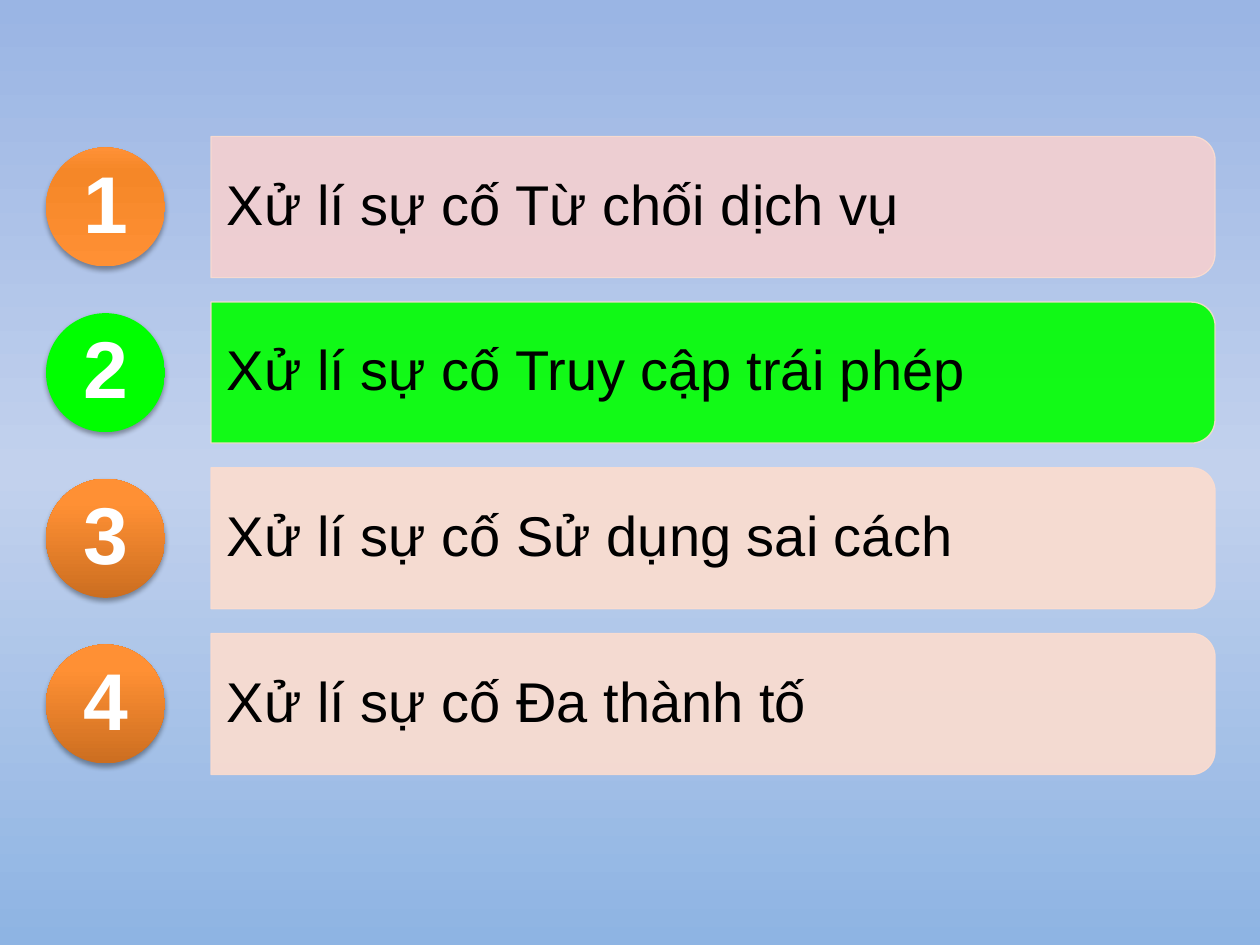
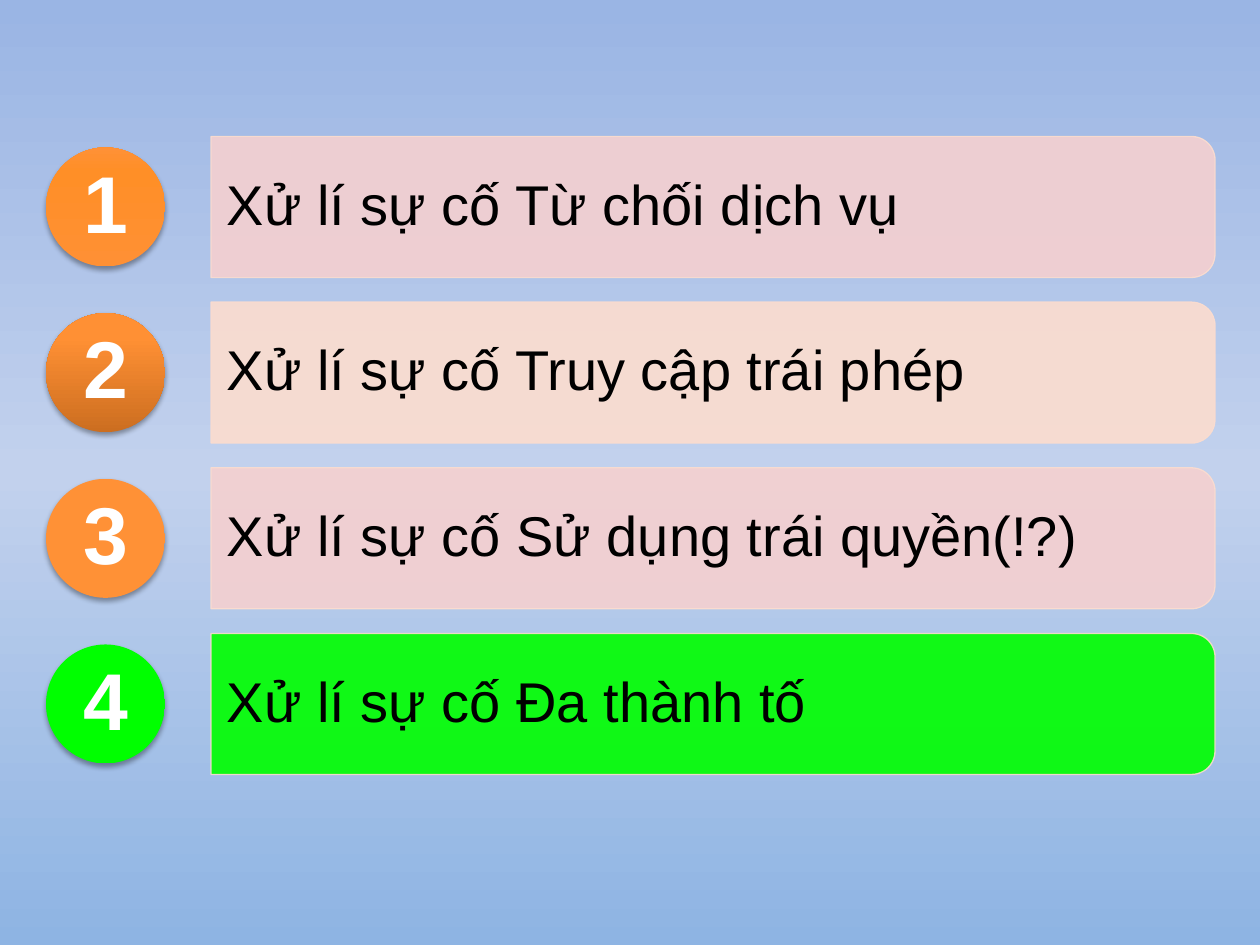
from lxml import etree
from pptx import Presentation
from pptx.dml.color import RGBColor
from pptx.enum.shapes import MSO_SHAPE
from pptx.enum.text import MSO_ANCHOR, PP_ALIGN
from pptx.oxml.ns import qn
from pptx.util import Emu, Pt

OVAL = MSO_SHAPE.OVAL
TWO_ROUND_CORNERS = MSO_SHAPE.ROUND_2_SAME_RECTANGLE
MIDDLE = MSO_ANCHOR.MIDDLE
LEFT, CENTER = PP_ALIGN.LEFT, PP_ALIGN.CENTER

# Content: label and state of each agenda row
AGENDAS = [
    [("Xử lí sự cố Từ chối dịch vụ", "done_dim"),
     ("Xử lí sự cố Truy cập trái phép", "current"),
     ("Xử lí sự cố Sử dụng sai cách", "pending"),
     ("Xử lí sự cố Đa thành tố", "pending")],
    [("Xử lí sự cố Từ chối dịch vụ", "done"),
     ("Xử lí sự cố Truy cập trái phép", "pending"),
     ("Xử lí sự cố Sử dụng trái quyền(!?)", "done_flat"),
     ("Xử lí sự cố Đa thành tố", "current")],
]

# Shared look
COLORS = {
    "sky_top": "9AB5E4", "sky_middle": "C2D1ED", "sky_bottom": "8EB4E3",
    "pink": "F5D0D0", "peach": "FCDDCF", "green": "00FF00",
    "orange": "FF9034", "orange_light": "FF9136", "orange_warm": "FF8F27",
    "orange_dim": "F58728", "orange_dark": "CC6E20",
    "black": "000000", "white": "FFFFFF",
}
SKY = [(0, "sky_top"), (50, "sky_middle"), (100, "sky_bottom")]
STATES = {  # bar colour, circle gradient from bottom to top
    "done": ("pink", [(0, "orange"), (80, "orange_warm"), (100, "orange_light")]),
    "done_dim": ("pink", [(0, "orange"), (80, "orange_dim"), (100, "orange_light")]),
    "done_flat": ("pink", [(0, "orange_light"), (54, "orange")]),
    "current": ("green", [(0, "green"), (100, "green")]),
    "pending": ("peach", [(0, "orange_dark"), (80, "orange"), (100, "orange_light")]),
}
LABEL_FONT = {"name": "Arial", "size": Pt(32), "bold": False}
NUMBER_FONT = {"name": "Arial", "size": Pt(46), "bold": True}
BAR_OPACITY = 90

# Layout in px
PX = 914400 / 126
SLIDE_W, SLIDE_H = 1260, 945
FIRST_ROW_Y, LAST_ROW_Y = 207, 704
BAR_X, BAR_W, BAR_H = 211, 1004, 141
LABEL_W, LABEL_H = 996, 127
LABEL_MARGINS = (16, 11, 16, 11)
CIRCLE_X, CIRCLE_SIZE = 46, 119


def px(length):
    return Emu(round(length * PX))


def box(center_x, center_y, width, height):
    return [px(v) for v in (center_x - width / 2, center_y - height / 2, width, height)]


def rgb(color):
    return RGBColor.from_string(COLORS[color])


def set_gradient(owner, fill, stops, angle):
    fill.gradient()
    fill.gradient_angle = angle
    stop_list = owner._element.find(".//" + qn("a:gsLst"))
    for old_stop in list(stop_list):
        stop_list.remove(old_stop)
    for position, color in stops:
        stop = etree.SubElement(stop_list, qn("a:gs"), pos=str(position * 1000))
        etree.SubElement(stop, qn("a:srgbClr"), val=COLORS[color])


def set_opacity(color_node, percent):
    etree.SubElement(color_node, qn("a:alpha"), val=str(percent * 1000))


def write(shape, text, font, color, align, margins):
    frame = shape.text_frame
    frame.word_wrap = True
    frame.vertical_anchor = MIDDLE
    for side, margin in zip(("left", "top", "right", "bottom"), margins):
        setattr(frame, "margin_" + side, px(margin))
    paragraph = frame.paragraphs[0]
    paragraph.alignment = align
    paragraph.line_spacing = 0.9
    run = paragraph.add_run()
    run.text = text
    for name, value in font.items():
        setattr(run.font, name, value)
    run.font.color.rgb = rgb(color)


def add_bar(slide, center_y, color):
    # Turned a quarter so that the round corners face right
    bar = slide.shapes.add_shape(
        TWO_ROUND_CORNERS, *box(BAR_X + BAR_W / 2, center_y, BAR_H, BAR_W))
    bar.rotation = 90
    bar.fill.solid()
    bar.fill.fore_color.rgb = rgb(color)
    bar.line.color.rgb = rgb("peach")
    bar.line.width = Pt(0.75)
    bar.shadow.inherit = False
    for color_node in bar._element.spPr.iter(qn("a:srgbClr")):
        set_opacity(color_node, BAR_OPACITY)


def add_label(slide, center_y, text):
    label = slide.shapes.add_textbox(
        *box(BAR_X + LABEL_W / 2, center_y, LABEL_W, LABEL_H))
    write(label, text, LABEL_FONT, "black", LEFT, LABEL_MARGINS)


def add_circle(slide, center_y, number, stops):
    circle = slide.shapes.add_shape(
        OVAL, *box(CIRCLE_X + CIRCLE_SIZE / 2, center_y, CIRCLE_SIZE, CIRCLE_SIZE))
    set_gradient(circle, circle.fill, stops, 90)
    circle.line.fill.background()
    circle.shadow.inherit = False
    effects = circle._element.spPr.find(qn("a:effectLst"))
    shadow = etree.SubElement(
        effects, qn("a:outerShdw"), blurRad=str(Pt(3.1)), dist=str(Pt(1.8)),
        dir="5400000", rotWithShape="0")
    set_opacity(etree.SubElement(shadow, qn("a:srgbClr"), val=COLORS["black"]), 35)
    write(circle, str(number), NUMBER_FONT, "white", CENTER, (0, 0, 0, 0))


def main():
    prs = Presentation()
    prs.slide_width, prs.slide_height = px(SLIDE_W), px(SLIDE_H)
    master = prs.slide_master
    set_gradient(master, master.background.fill, SKY, 270)

    for agenda in AGENDAS:
        slide = prs.slides.add_slide(prs.slide_layouts[6])
        pitch = (LAST_ROW_Y - FIRST_ROW_Y) / (len(agenda) - 1)
        for row, (text, state) in enumerate(agenda):
            center_y = FIRST_ROW_Y + row * pitch
            bar_color, circle_stops = STATES[state]
            add_bar(slide, center_y, bar_color)
            add_label(slide, center_y, text)
            add_circle(slide, center_y, row + 1, circle_stops)

    prs.save("out.pptx")


if __name__ == "__main__":
    main()
